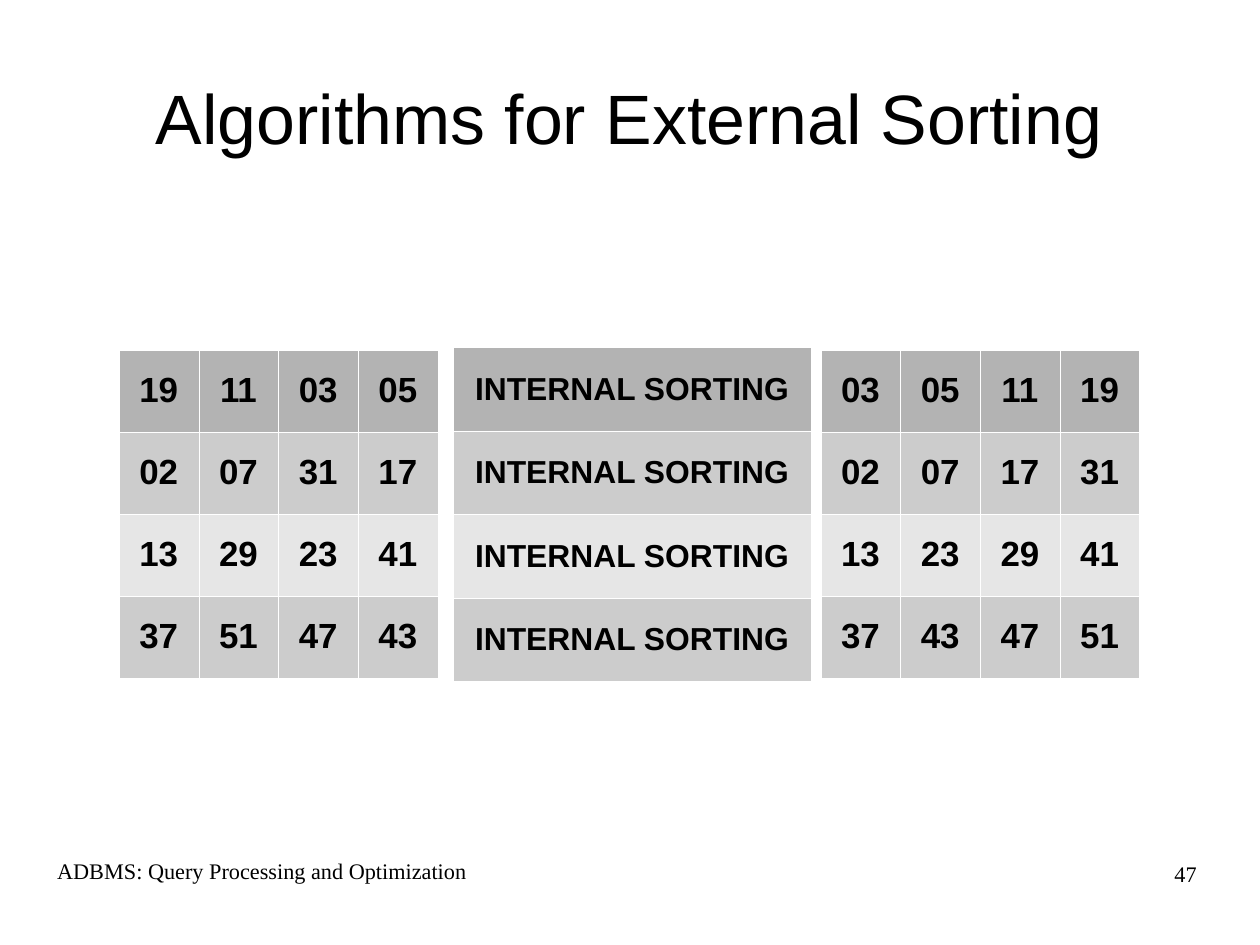
from lxml.etree import SubElement
from pptx import Presentation
from pptx.dml.color import RGBColor
from pptx.enum.text import MSO_ANCHOR, PP_ALIGN
from pptx.oxml.ns import qn
from pptx.util import Inches, Pt

COLORS = {"text": "000000", "line": "FFFFFF", "head": "B3B3B3", "dark": "CCCCCC", "light": "E6E6E6"}
BANDS = ["head", "dark", "light", "dark"]
TITLE = {"name": "Arial", "size": Pt(44)}
FOOT = {"name": "Times New Roman", "size": Pt(14)}
DIGIT = {"name": "Arial", "size": Pt(22), "bold": True}
LABEL = {"name": "Arial", "size": Pt(20), "bold": True}


def write(frame, text, style, align):
    para = frame.paragraphs[0]
    para.alignment = align
    run = para.add_run()
    run.text = text
    for key, value in style.items():
        setattr(run.font, key, value)
    run.font.color.rgb = RGBColor.from_string(COLORS["text"])


def edge(cell):
    props = cell._tc.get_or_add_tcPr()
    for side in ("a:lnL", "a:lnR", "a:lnT", "a:lnB"):
        line = SubElement(props, qn(side), w=str(int(Pt(0.06))))
        fill = SubElement(line, qn("a:solidFill"))
        SubElement(fill, qn("a:srgbClr"), val=COLORS["line"])


deck = Presentation()
deck.slide_width = Inches(28 / 2.54)
deck.slide_height = Inches(21 / 2.54)
slide = deck.slides.add_slide(deck.slide_layouts[6])

texts = [
    ("ADBMS: Query Processing and Optimization", (0.5, 7.5, 5, 0.57), FOOT, PP_ALIGN.LEFT, MSO_ANCHOR.TOP),
    ("47", (7.9, 7.53, 2.57, 0.57), FOOT, PP_ALIGN.RIGHT, MSO_ANCHOR.TOP),
    ("Algorithms for External Sorting", (0.55, 0.33, 9.92, 1.38), TITLE, PP_ALIGN.CENTER, MSO_ANCHOR.MIDDLE),
]
for text, place, style, align, anchor in texts:
    frame = slide.shapes.add_textbox(*map(Inches, place)).text_frame
    frame.word_wrap = True
    frame.vertical_anchor = anchor
    for side in ("left", "top", "right", "bottom"):
        setattr(frame, f"margin_{side}", 0)
    write(frame, text, style, align)

runs = [
    ["19", "11", "03", "05"],
    ["02", "07", "31", "17"],
    ["13", "29", "23", "41"],
    ["37", "51", "47", "43"],
]
grids = [
    (runs, (1.04, 3.06, 2.79, 2.87), DIGIT),
    ([sorted(run) for run in runs], (7.18, 3.06, 2.79, 2.87), DIGIT),
    ([["INTERNAL SORTING"] for run in runs], (3.96, 3.04, 3.14, 2.92), LABEL),
]
for rows, place, style in grids:
    table = slide.shapes.add_table(len(rows), len(rows[0]), *map(Inches, place)).table
    table.first_row = table.horz_banding = False
    for r, row in enumerate(rows):
        for c, text in enumerate(row):
            cell = table.cell(r, c)
            edge(cell)
            cell.fill.solid()
            cell.fill.fore_color.rgb = RGBColor.from_string(COLORS[BANDS[r]])
            cell.vertical_anchor = MSO_ANCHOR.MIDDLE
            write(cell.text_frame, text, style, PP_ALIGN.CENTER)

deck.save("out.pptx")
